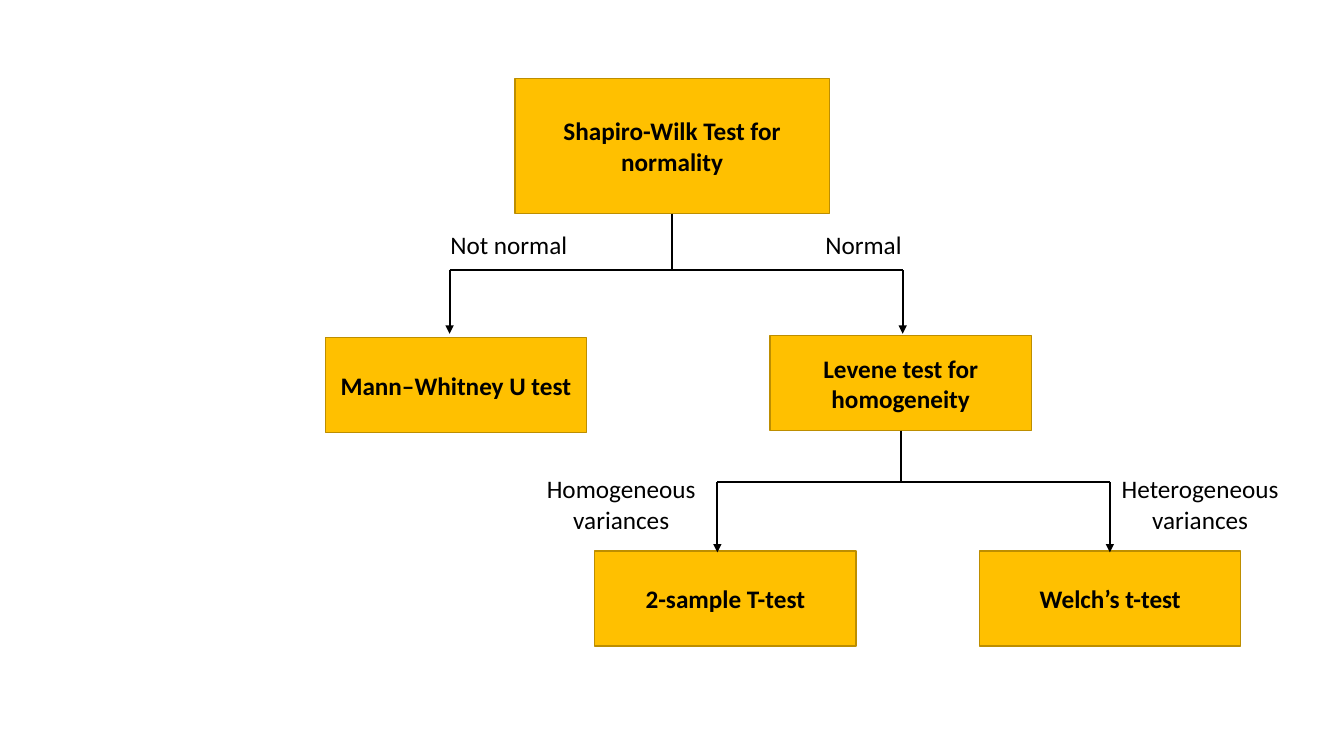
from lxml import etree
from pptx import Presentation
from pptx.dml.color import RGBColor
from pptx.enum.shapes import MSO_CONNECTOR, MSO_SHAPE
from pptx.enum.text import MSO_ANCHOR, PP_ALIGN
from pptx.oxml.ns import qn
from pptx.util import Cm, Pt

RECTANGLE = MSO_SHAPE.RECTANGLE
STRAIGHT = MSO_CONNECTOR.STRAIGHT
MIDDLE = MSO_ANCHOR.MIDDLE
CENTER, LEFT = PP_ALIGN.CENTER, PP_ALIGN.LEFT
BOTTOM_SIDE = 2
COLORS = {"box": "FFC000", "border": "BD8E00", "ink": "000000"}
INK = RGBColor.from_string(COLORS["ink"])

prs = Presentation()
prs.slide_width, prs.slide_height = Cm(33.87), Cm(19.05)
slide = prs.slides.add_slide(prs.slide_layouts[6])


def write(shape, text, align, bold=False):
    shape.text_frame.text = text
    for paragraph in shape.text_frame.paragraphs:
        paragraph.alignment = align
        for run in paragraph.runs:
            run.font.name = "Calibri"
            run.font.size = Pt(18)
            run.font.bold = bold
            run.font.color.rgb = INK


def add_line(x1, y1, x2, y2, arrow=False):
    line = slide.shapes.add_connector(STRAIGHT, Cm(x1), Cm(y1), Cm(x2), Cm(y2))
    line.line.color.rgb = INK
    line.line.width = Pt(1.5)
    properties = line._element.spPr
    if arrow:
        etree.SubElement(properties.find(qn("a:ln")), qn("a:tailEnd"), type="triangle")
    etree.SubElement(properties, qn("a:effectLst"))
    return line


# Tests: text, left, top, width, height
TEST_SIZE = (6.58, 2.39)
tests = [
    ("Shapiro-Wilk Test for normality", 12.98, 1.98, 7.92, 3.4),
    ("Mann–Whitney U test", 8.2, 8.51, *TEST_SIZE),
    ("Levene test for homogeneity", 19.41, 8.46, *TEST_SIZE),
    ("2-sample T-test", 14.99, 13.89, *TEST_SIZE),
    ("Welch’s t-test", 24.69, 13.89, *TEST_SIZE),
]
test_boxes = []
for text, left, top, width, height in tests:
    box = slide.shapes.add_shape(RECTANGLE, Cm(left), Cm(top), Cm(width), Cm(height))
    box.shadow.inherit = False
    box.fill.solid()
    box.fill.fore_color.rgb = RGBColor.from_string(COLORS["box"])
    box.line.color.rgb = RGBColor.from_string(COLORS["border"])
    box.line.width = Pt(1)
    box.text_frame.word_wrap = True
    box.text_frame.vertical_anchor = MIDDLE
    write(box, text, CENTER, bold=True)
    test_boxes.append(box)
normality, _, homogeneity, _, _ = test_boxes

# Forks: deciding test, stem x, stem top, bar y, left arm x, right arm x, arrow tip y
forks = [
    (normality, 16.94, 5.38, 6.81, 11.33, 22.75, 8.41),
    (homogeneity, 22.7, 10.85, 12.14, 18.08, 27.97, 13.92),
]
for test, stem_x, stem_top, bar_y, left_arm, right_arm, tip_y in forks:
    stem = add_line(stem_x, stem_top, stem_x, bar_y)
    stem.begin_connect(test, BOTTOM_SIDE)
    add_line(left_arm, bar_y, right_arm, bar_y)
    for arm in (left_arm, right_arm):
        add_line(arm, bar_y, arm, tip_y, arrow=True)

# Outcomes: text, left, top, width, height, alignment, wrap
outcomes = [
    ("Not normal", 11.1, 5.66, 3.48, 1.02, LEFT, False),
    ("Normal", 20.55, 5.66, 2.46, 1.02, LEFT, False),
    ("Homogeneous\nvariances", 13.46, 11.81, 4.39, 1.8, CENTER, True),
    ("Heterogeneous\nvariances", 27.97, 11.81, 4.55, 1.8, CENTER, True),
]
for text, left, top, width, height, align, wrap in outcomes:
    outcome = slide.shapes.add_textbox(Cm(left), Cm(top), Cm(width), Cm(height))
    outcome.text_frame.word_wrap = wrap
    write(outcome, text, align)

prs.save("out.pptx")
